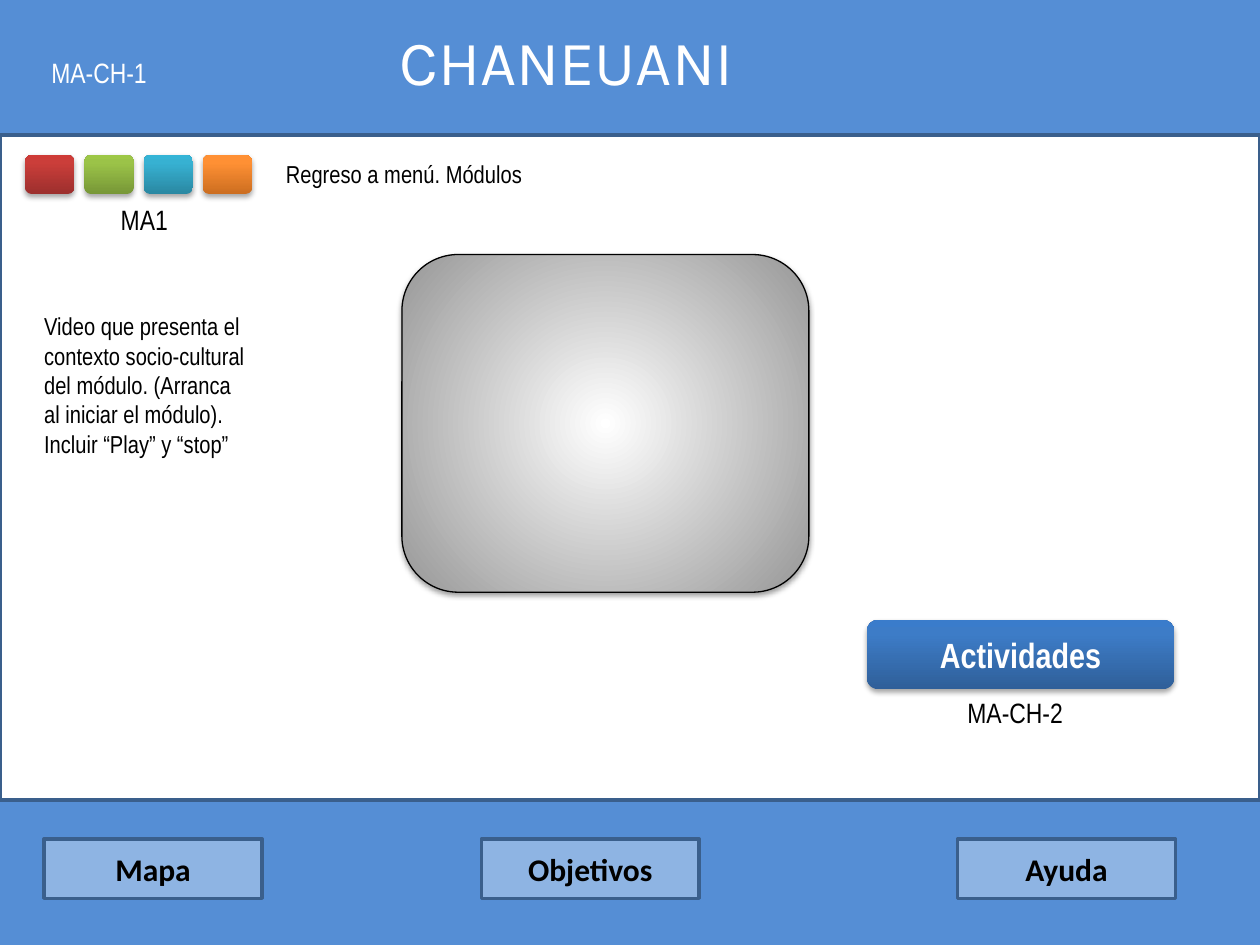
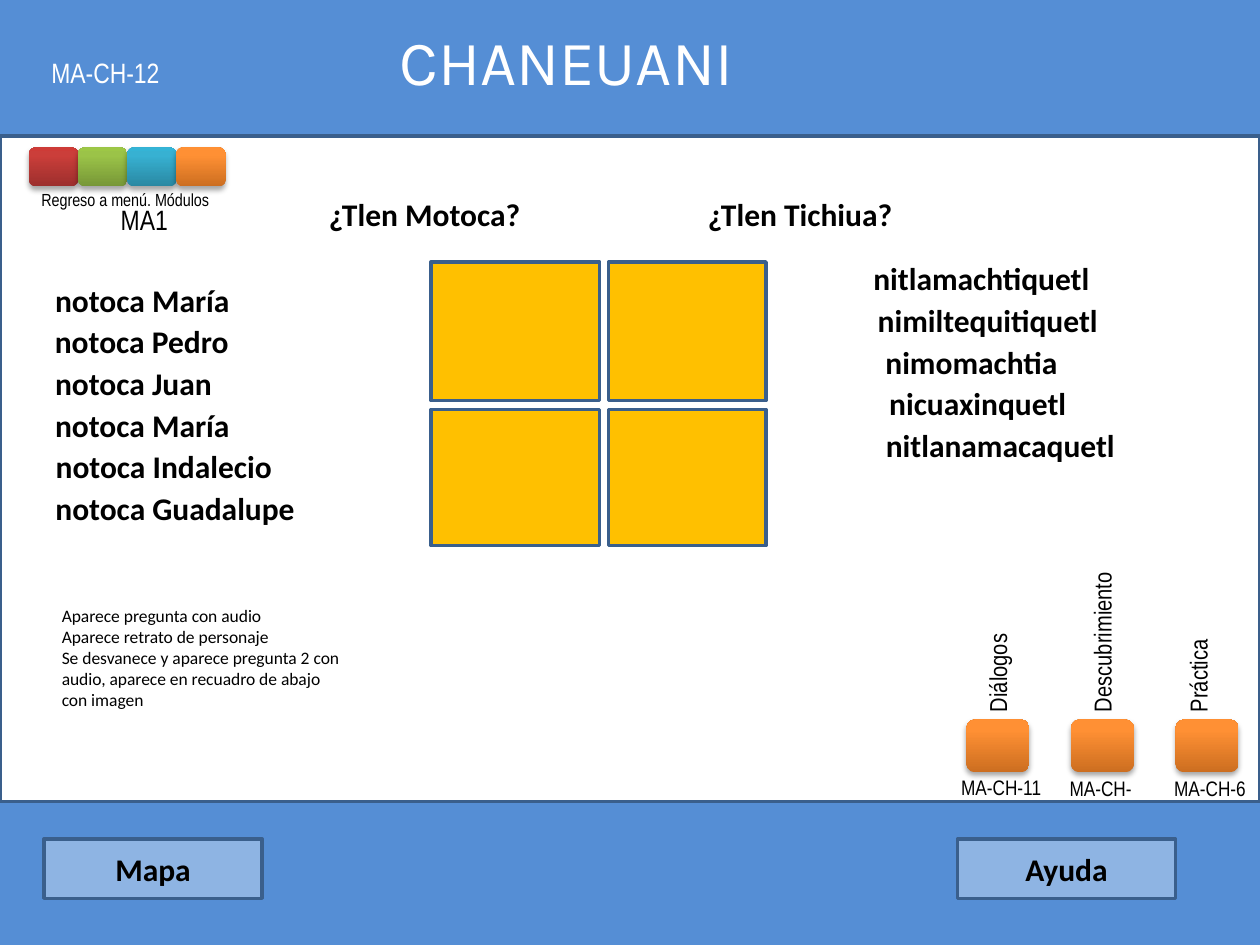
from dataclasses import dataclass
from typing import NamedTuple

from lxml.etree import SubElement
from pptx import Presentation
from pptx.dml.color import RGBColor as Rgb
from pptx.enum.shapes import MSO_SHAPE as Kind
from pptx.enum.text import MSO_ANCHOR as Anchor, MSO_AUTO_SIZE as Fit, PP_ALIGN as Align
from pptx.oxml.ns import qn
from pptx.util import Inches, Pt


class Font(NamedTuple):
    face: str
    size: int
    color: str = "000000"
    bold: bool = False


class Shade(NamedTuple):
    stops: tuple
    round: bool = False


class Box(NamedTuple):
    """Left, top, width and height in grid columns and rows."""
    x: float
    y: float
    w: float
    h: float


class Label(NamedTuple):
    text: str
    box: Box
    font: Font
    turn: int = 0


class Word(NamedTuple):
    text: str
    x: float
    w: float


def ramp(*colors: str) -> Shade:
    return Shade(tuple(zip((0, 80, 100), colors)))


@dataclass(frozen=True)
class Theme:
    back: str = "558ED5"
    panel: str = "FFFFFF"
    button: str = "8EB4E3"
    edge: str = "3A5F8C"
    frame: str = "FFC000"
    red: Shade = ramp("9C2F2D", "CB3E3A", "CE3B37")
    green: Shade = ramp("779737", "9BC348", "9DC746")
    teal: Shade = ramp("2A88A2", "37B1D2", "34B4D6")
    orange: Shade = ramp("CC6E20", "FF9034", "FF9136")
    blue: Shade = ramp("2F5F99", "3D7CC7", "3A7CCB")
    gray: Shade = Shade(((0, "FFFFFF"), (100, "979797")), True)
    title: Font = Font("Karla", 36, "FFFFFF")
    strong: Font = Font("Calibri", 18, bold=True)
    action: Font = Font("Arial Narrow", 20, "FFFFFF", True)
    code: Font = Font("Arial Narrow", 16, "FFFFFF")
    link: Font = Font("Arial Narrow", 16)
    note: Font = Font("Arial Narrow", 14)
    small: Font = Font("Arial Narrow", 12)
    tiny: Font = Font("Arial Narrow", 10)
    hint: Font = Font("Calibri", 10)


T = Theme()
COLS, ROWS = 100, 75
CELL = Inches(10) // COLS

# Shared parts
BUTTONS = {"Mapa": 3.5, "Objetivos": 38.2, "Ayuda": 76}
CHIPS = (T.red, T.green, T.teal, T.orange)
MENU = "Regreso a menú. Módulos"


def place(shape, box: Box) -> None:
    shape.left, shape.top, shape.width, shape.height = (round(n * CELL) for n in box)


def write(shape, lines, font: Font, align=Align.LEFT, wrap=True,
          grow=True, anchor=Anchor.TOP) -> None:
    frame = shape.text_frame
    frame.word_wrap = wrap
    frame.auto_size = Fit.SHAPE_TO_FIT_TEXT if grow else Fit.NONE
    frame.vertical_anchor = anchor
    for i, line in enumerate(lines):
        para = frame.add_paragraph() if i else frame.paragraphs[0]
        para.alignment = align
        run = para.add_run()
        run.text = line
        run.font.name, run.font.size, run.font.bold = font.face, Pt(font.size), font.bold
        run.font.color.rgb = Rgb.from_string(font.color)


def tint(parent, color: str):
    return SubElement(parent, qn("a:srgbClr"), val=color)


def blend(shape, shade: Shade) -> None:
    shape.fill.gradient()
    grad = shape._element.spPr.find(qn("a:gradFill"))
    for part in list(grad):
        grad.remove(part)
    stops = SubElement(grad, qn("a:gsLst"))
    for pos, color in shade.stops:
        tint(SubElement(stops, qn("a:gs"), pos=str(pos * 1000)), color)
    if shade.round:
        path = SubElement(grad, qn("a:path"), path="circle")
        SubElement(path, qn("a:fillToRect"), dict.fromkeys("ltrb", "50000"))
    else:
        SubElement(grad, qn("a:lin"), ang="16200000", scaled="0")


def cast(shape, alpha: int, drop: float) -> None:
    effect = shape._element.spPr.find(qn("a:effectLst"))
    outer = SubElement(effect, qn("a:outerShdw"), blurRad=str(Pt(3.1)), dist=str(Pt(drop)),
                       dir="5400000", rotWithShape="0")
    SubElement(tint(outer, "000000"), qn("a:alpha"), val=str(alpha * 1000))


def draw(shapes, box: Box, kind=Kind.RECTANGLE):
    shape = shapes.add_shape(kind, 0, 0, 0, 0)
    place(shape, box)
    shape.shadow.inherit = False
    return shape


def flat(shapes, box: Box, color: str):
    shape = draw(shapes, box)
    shape.fill.solid()
    shape.fill.fore_color.rgb = Rgb.from_string(color)
    shape.line.color.rgb = Rgb.from_string(T.edge)
    shape.line.width = Pt(2)
    return shape


def gloss(shapes, box: Box, shade: Shade):
    shape = draw(shapes, box, Kind.ROUNDED_RECTANGLE)
    blend(shape, shade)
    if shade.round:
        shape.line.color.rgb = Rgb.from_string("000000")
        shape.line.width = Pt(0.75)
        cast(shape, 38, 1.6)
    else:
        shape.line.fill.background()
        cast(shape, 35, 1.8)
    return shape


def label(shapes, item: Label, **look) -> None:
    text = shapes.add_textbox(0, 0, 0, 0)
    place(text, item.box)
    text.rotation = item.turn
    write(text, [item.text], item.font, **look)


def chips(shapes, x: float, y: float, step: float) -> None:
    for i, shade in enumerate(CHIPS):
        gloss(shapes, Box(x + i * step, y, 3.9, 3.1), shade)


def words(shapes, items, top: float, step: float = 0) -> None:
    for i, (text, x, w) in enumerate(items):
        label(shapes, Label(text, Box(x, top + i * step, w, 4), T.strong),
              align=Align.CENTER, wrap=False)


def base(deck, code: Label, names, top: float, lines, spot: Box, font: Font):
    """Panel, title, screen code, notes and bottom buttons."""
    slide = deck.slides.add_slide(deck.slide_layouts[1])
    shapes = slide.shapes
    panel = flat(shapes, Box(0, top, COLS, 52.8), T.panel)
    shapes._spTree.insert(2, panel._element)
    place(shapes.title, Box(30.7, 1.3, 32.8, 7.1))
    write(shapes.title, ["CHANEUANI"], T.title, wrap=False)
    body = slide.placeholders[1]
    place(body, spot)
    write(body, lines, font)
    for para in body.text_frame.paragraphs:
        para.space_before = Pt(0)
        props = para._p.get_or_add_pPr()
        props.set("marL", "0")
        props.set("indent", "0")
        SubElement(props, qn("a:buNone"))
    for name in names:
        button = flat(shapes, Box(BUTTONS[name], 66.6, 17.3, 4.7), T.button)
        write(button, [name], T.strong, Align.CENTER, grow=False, anchor=Anchor.MIDDLE)
    label(shapes, code)
    label(shapes, Label("MA1", Box(8.6, 15.6, 10.2, 3.7), T.link))
    return shapes


def intro(deck) -> None:
    shapes = base(
        deck, Label("MA-CH-1", Box(3.1, 3.9, 10.2, 3.7), T.code), BUTTONS, 10.7,
        ("Video que presenta el contexto socio-cultural",
         "del módulo. (Arranca al iniciar el módulo).",
         "Incluir “Play” y “stop”"),
        Box(2.5, 24.2, 18.5, 12.8), T.note)
    chips(shapes, 2, 12.3, 4.7)
    label(shapes, Label(MENU, Box(21.7, 12.1, 22.8, 3.4), T.note))
    # Video area and way onward
    gloss(shapes, Box(31.9, 20.2, 32.3, 26.8), T.gray)
    action = gloss(shapes, Box(68.8, 49.2, 24.4, 5.5), T.blue)
    write(action, ["Actividades"], T.action, Align.CENTER, grow=False, anchor=Anchor.MIDDLE)
    label(shapes, Label("MA-CH-2", Box(75.8, 54.7, 10.2, 3.7), T.link))


def quiz(deck) -> None:
    shapes = base(
        deck, Label("MA-CH-12", Box(3.1, 3.9, 11.9, 3.7), T.code), ("Mapa", "Ayuda"), 10.8,
        ("Aparece pregunta con audio",
         "Aparece retrato de personaje",
         "Se desvanece y aparece pregunta 2 con audio, aparece en recuadro de abajo con imagen"),
        Box(3.9, 47.5, 24.2, 9.4), T.hint)
    menu = shapes.add_group_shape().shapes
    chips(menu, 2.3, 11.7, 3.9)
    label(menu, Label(MENU, Box(2.3, 14.5, 15.6, 2.7), T.tiny))

    # Questions and answers
    words(shapes, (Word("¿Tlen Motoca?", 25, 17.4), Word("¿Tlen Tichiua?", 55.1, 16.8)), 15)
    names = {"María": 16, "Pedro": 15.9, "Juan": 14.6}
    people = [*names.items(), ("María", names["María"]), ("Indalecio", 19.4), ("Guadalupe", 21.2)]
    words(shapes, [Word(f"notoca {who}", 3.3, w) for who, w in people], 21.8, 3.3)
    words(shapes, (Word("nitlamachtiquetl", 68.2, 19.4), Word("nimiltequitiquetl", 68.3, 20.2),
                   Word("nimomachtia", 69.2, 15.8), Word("nicuaxinquetl", 69.2, 16.8),
                   Word("nitlanamacaquetl", 69.2, 20.4)), 20.1, 3.3)

    # Portrait frames
    for x, w in ((34.2, 13.4), (48.3, 12.5)):
        for y, h in ((20.8, 11), (32.5, 10.8)):
            flat(shapes, Box(x, y, w, h), T.frame)

    # Activity links
    links = (
        (Label("Diálogos", Box(72.9, 49.6, 12.5, 3.3), T.note, 270),
         Label("MA-CH-11", Box(75.3, 61, 9.7, 3), T.small)),
        (Label("Descubrimiento", Box(80.7, 49, 13.6, 3.4), T.note, 270),
         Label("MA-CH-", Box(83.9, 61.1, 7.8, 3), T.small)),
        (Label("Práctica", Box(88.8, 49.6, 12.5, 3.3), T.note, 270),
         Label("MA-CH-6", Box(92.2, 61.1, 7.8, 3), T.small)),
    )
    for i, pair in enumerate(links):
        gloss(shapes, Box(76.7 + 8.3 * i, 57.1, 5, 4.2), T.orange)
        for item in pair:
            label(shapes, item)


def main() -> None:
    deck = Presentation()
    deck.slide_width, deck.slide_height = COLS * CELL, ROWS * CELL
    fill = deck.slide_master.background.fill
    fill.solid()
    fill.fore_color.rgb = Rgb.from_string(T.back)
    intro(deck)
    quiz(deck)
    deck.save("out.pptx")


if __name__ == "__main__":
    main()
